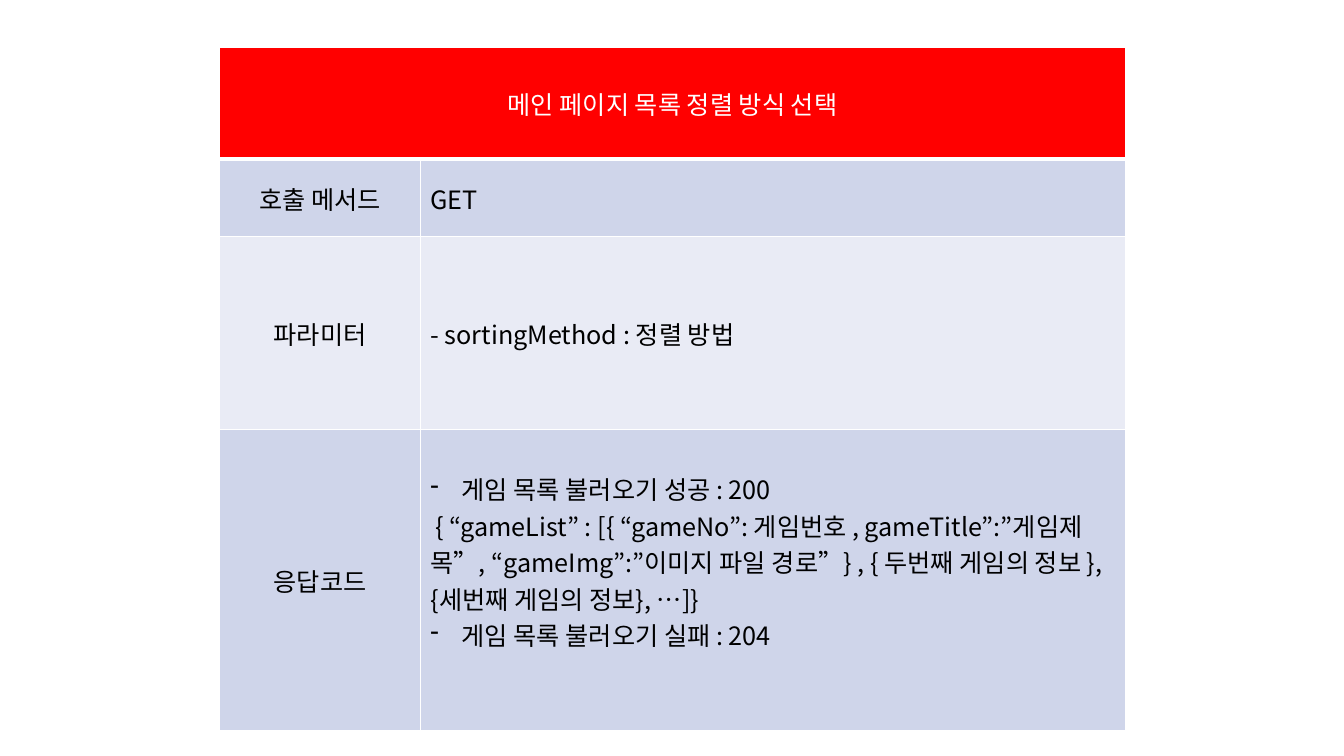
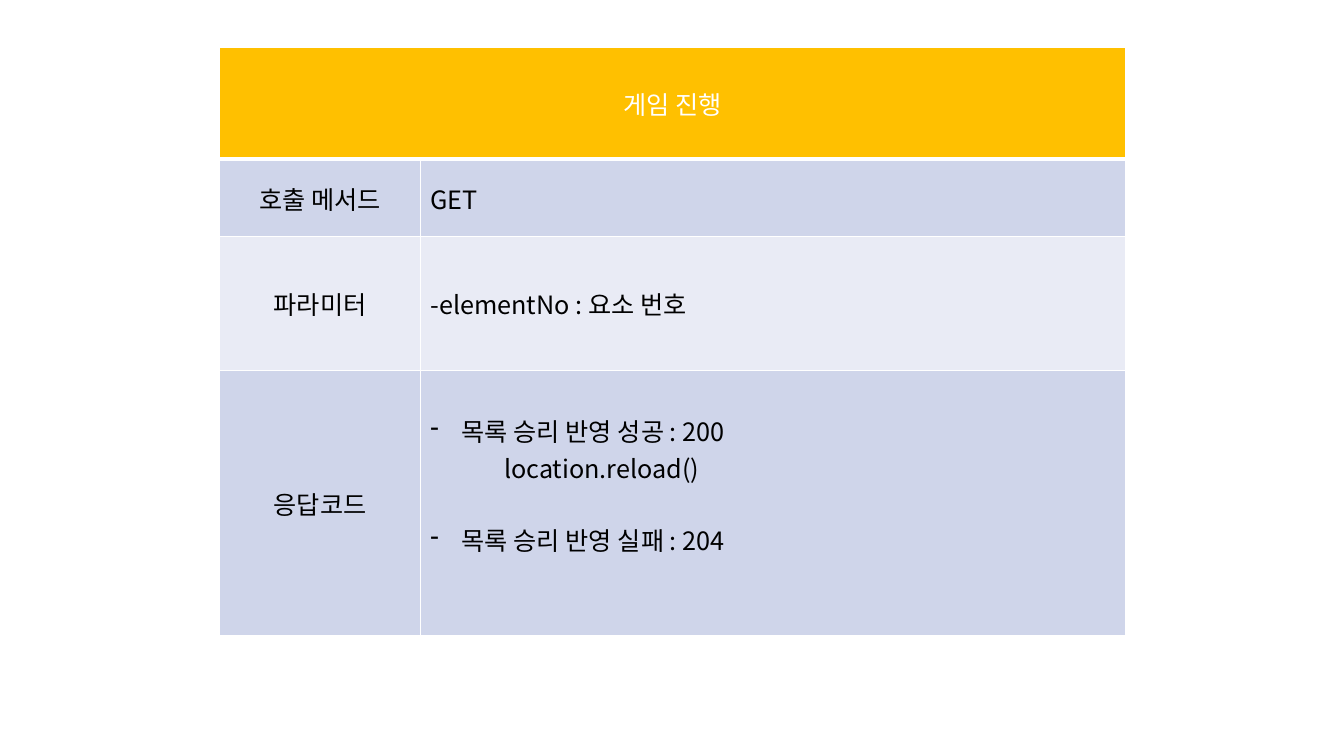
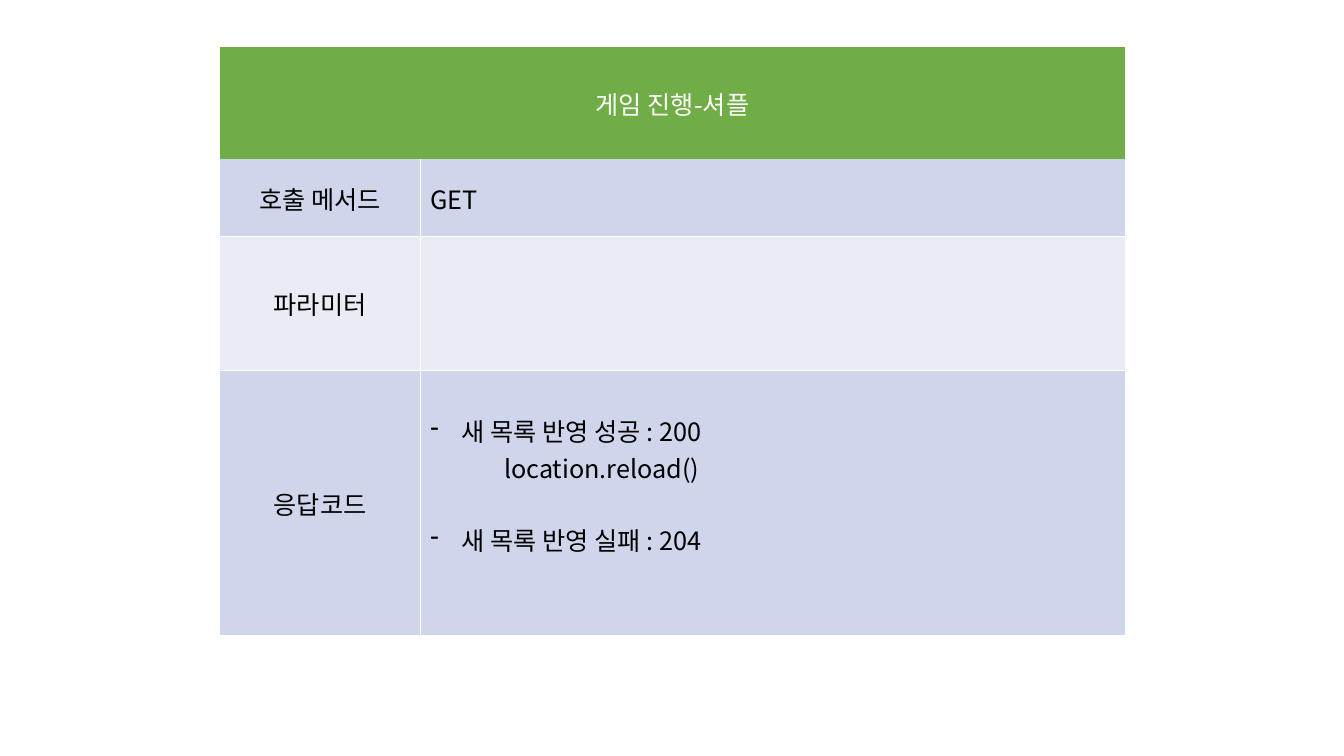
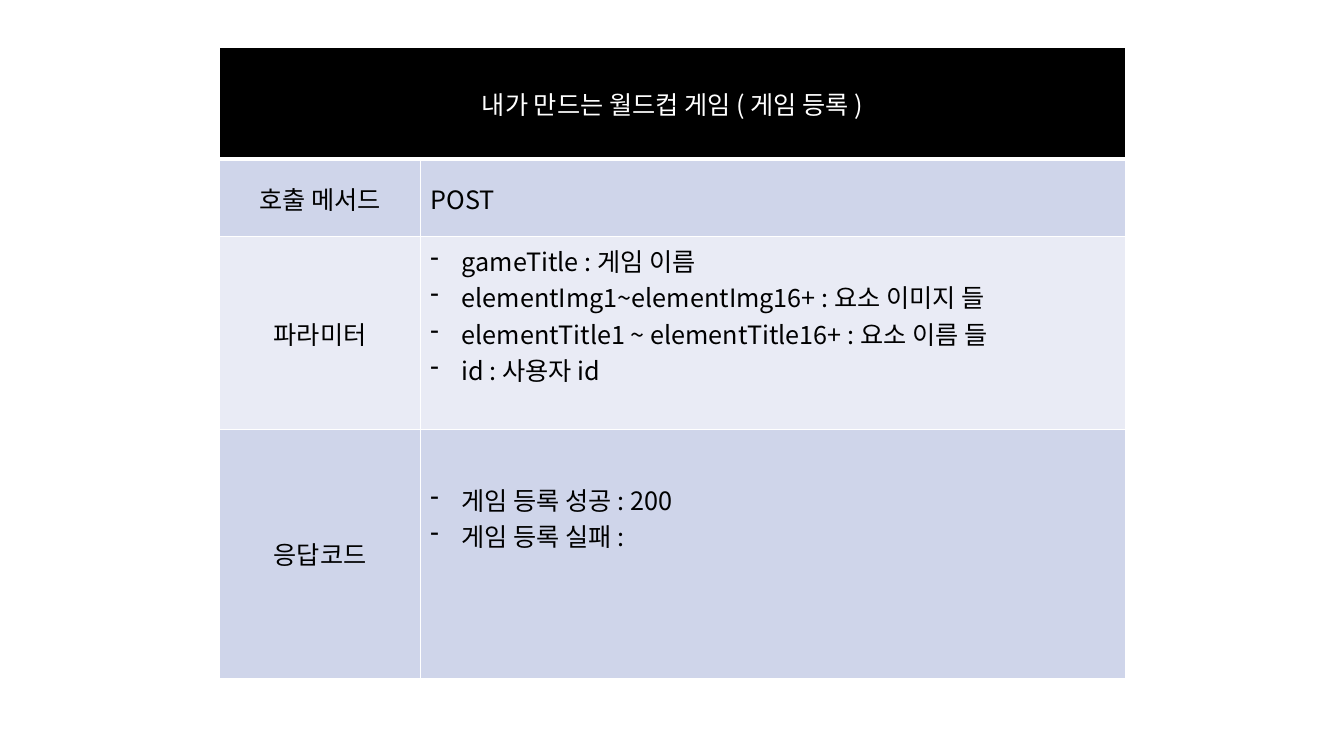
from lxml import etree
from pptx import Presentation
from pptx.dml.color import RGBColor
from pptx.enum.text import MSO_ANCHOR, PP_ALIGN
from pptx.oxml.ns import qn
from pptx.util import Inches, Pt

CENTER = PP_ALIGN.CENTER
LEFT = PP_ALIGN.LEFT
MIDDLE = MSO_ANCHOR.MIDDLE

FONT = "Noto Sans CJK KR"
SIZE = Pt(18)
LINE = 0.36  # height of one text line, inches
COLORS = {
    "white": "FFFFFF", "black": "000000", "red": "FF0000",
    "amber": "FFC000", "green": "70AD47",
    "dark": "CFD5EA", "light": "E9EBF5",
}
BODY = ("dark", "light", "dark")
LABELS = ("호출 메서드", "파라미터", "응답코드")
COLS = (1.99, 6.99)

# Paragraph styles: left margin, first-line indent (inches), bullet, space before
STYLES = {
    "plain": (0, 0, False, 0),
    "first": (0, 0.05, False, 0),
    "code": (0.73, 0, False, 0),
    "dash": (0.31, -0.31, True, 0),
    "apart": (0.31, -0.31, True, 26),
}


def reload_codes(name):
    return [
        ("dash", f"{name} 성공 : 200"),
        ("code", "location.reload()"),
        ("apart", f"{name} 실패 : 204"),
    ]


# Each page: title, colour, title edges, row heights,
# then for every row its lines and the number of lines it is raised by
PAGES = [
    ("메인 페이지 목록 정렬 방식 선택", "red", True, (1.11, 0.77, 1.91, 2.99), [
        ([("plain", "GET")], 0),
        ([("plain", "- sortingMethod : 정렬 방법")], 0),
        ([("dash", "게임 목록 불러오기 성공 : 200"),
          ("first", "{ “gameList” : [{ “gameNo”: 게임번호 , "
                    "gameTitle”:”게임제목”, “gameImg”:”이미지 파일 경로”} , "
                    "{ 두번째 게임의 정보 }, {세번째 게임의 정보}, …]}"),
          ("dash", "게임 목록 불러오기 실패 : 204")], 1),
    ]),
    ("게임 진행", "amber", True, (1.11, 0.77, 1.33, 2.63), [
        ([("plain", "GET")], 0),
        ([("plain", "-elementNo : 요소 번호")], 0),
        (reload_codes("목록 승리 반영"), 1),
    ]),
    ("게임 진행-셔플", "green", False, (1.11, 0.77, 1.33, 2.63), [
        ([("plain", "GET")], 0),
        ([], 0),
        (reload_codes("새 목록 반영"), 1),
    ]),
    ("내가 만드는 월드컵 게임 ( 게임 등록 )", "black", True, (1.11, 0.77, 1.91, 2.47), [
        ([("plain", "POST")], 0),
        ([("dash", "gameTitle : 게임 이름"),
          ("dash", "elementImg1~elementImg16+ : 요소 이미지 들"),
          ("dash", "elementTitle1 ~ elementTitle16+ : 요소 이름 들"),
          ("dash", "id : 사용자 id")], 1),
        ([("dash", "게임 등록 성공 : 200"),
          ("dash", "게임 등록 실패 :")], 2),
    ]),
]


def rgb(name):
    return RGBColor.from_string(COLORS[name])


def set_edges(cell, widths):
    """Draw white edges; widths are points for left, right, top, bottom."""
    props = cell._tc.get_or_add_tcPr()
    for side, width in zip("LRTB", widths):
        edge = etree.SubElement(props, qn(f"a:ln{side}"), w=str(Pt(width)))
        if width:
            fill = etree.SubElement(edge, qn("a:solidFill"))
            etree.SubElement(fill, qn("a:srgbClr"), val=COLORS["white"])
        else:
            etree.SubElement(edge, qn("a:noFill"))


def paint(cell, color, widths):
    set_edges(cell, widths)
    cell.fill.solid()
    cell.fill.fore_color.rgb = rgb(color)
    cell.vertical_anchor = MIDDLE


def write(para, text, color, align, style="plain"):
    margin, indent, bullet, before = STYLES[style]
    para.text = text
    para.alignment = align
    para.space_before = Pt(before)
    props = para._p.get_or_add_pPr()
    props.set("marL", str(Inches(margin)))
    props.set("indent", str(Inches(indent)))
    if bullet:
        etree.SubElement(props, qn("a:buFontTx"))
        etree.SubElement(props, qn("a:buChar"), char="-")
    for run in para.runs:
        font = run.font
        font.size, font.name, font.bold = SIZE, FONT, False
        font.color.rgb = rgb(color)
        etree.SubElement(run._r.get_or_add_rPr(), qn("a:ea"), typeface=FONT)


def fill_lines(cell, lines, lift):
    frame = cell.text_frame
    for i, (style, text) in enumerate(lines):
        para = frame.add_paragraph() if i else frame.paragraphs[0]
        write(para, text, "black", LEFT, style)
    cell.margin_bottom = Inches(0.05 + lift * LINE)


def add_page(deck, title, color, edged, heights, rows):
    slide = deck.slides.add_slide(deck.slide_layouts[6])
    table = slide.shapes.add_table(
        len(heights), len(COLS), Inches(2.18), Inches(0.47),
        Inches(sum(COLS)), Inches(sum(heights))).table
    for col, width in zip(table.columns, COLS):
        col.width = Inches(width)
    for row, height in zip(table.rows, heights):
        row.height = Inches(height)

    head = table.cell(0, 0)
    for cell in table.rows[0].cells:
        paint(cell, color, (1, 1, 1, 3) if edged else (0, 0, 0, 0))
    head.merge(table.cell(0, 1))
    write(head.text_frame.paragraphs[0], title, "white", CENTER)

    for i, (label, shade, (lines, lift)) in enumerate(zip(LABELS, BODY, rows), 1):
        top = 1 if edged or i > 1 else 0
        name, value = table.rows[i].cells
        for cell in (name, value):
            paint(cell, shade, (1, 1, top, 1))
        write(name.text_frame.paragraphs[0], label, "black", CENTER)
        fill_lines(value, lines, lift)


def main():
    deck = Presentation()
    deck.slide_width, deck.slide_height = Inches(13.33), Inches(7.5)
    for page in PAGES:
        add_page(deck, *page)
    deck.save("out.pptx")


if __name__ == "__main__":
    main()
